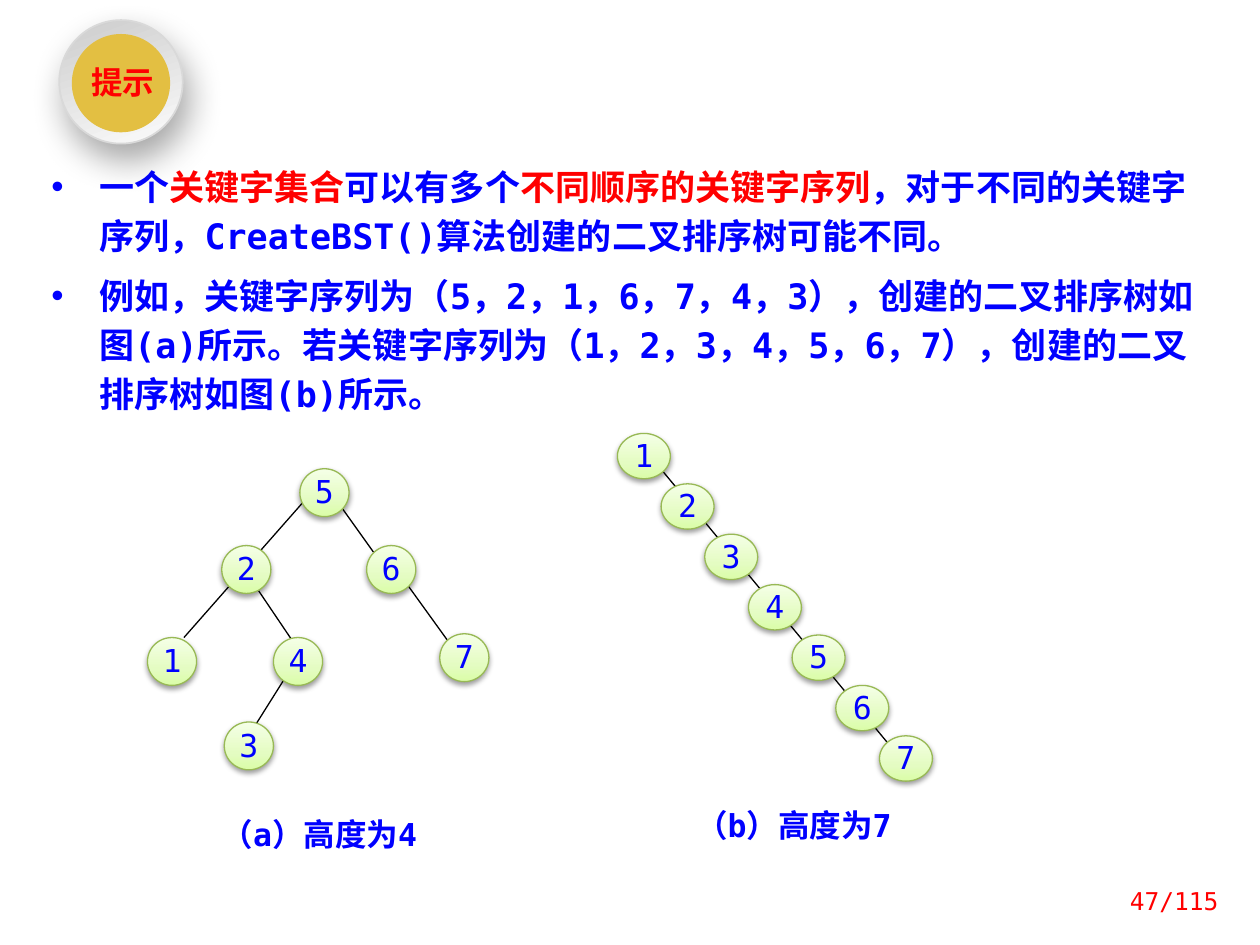
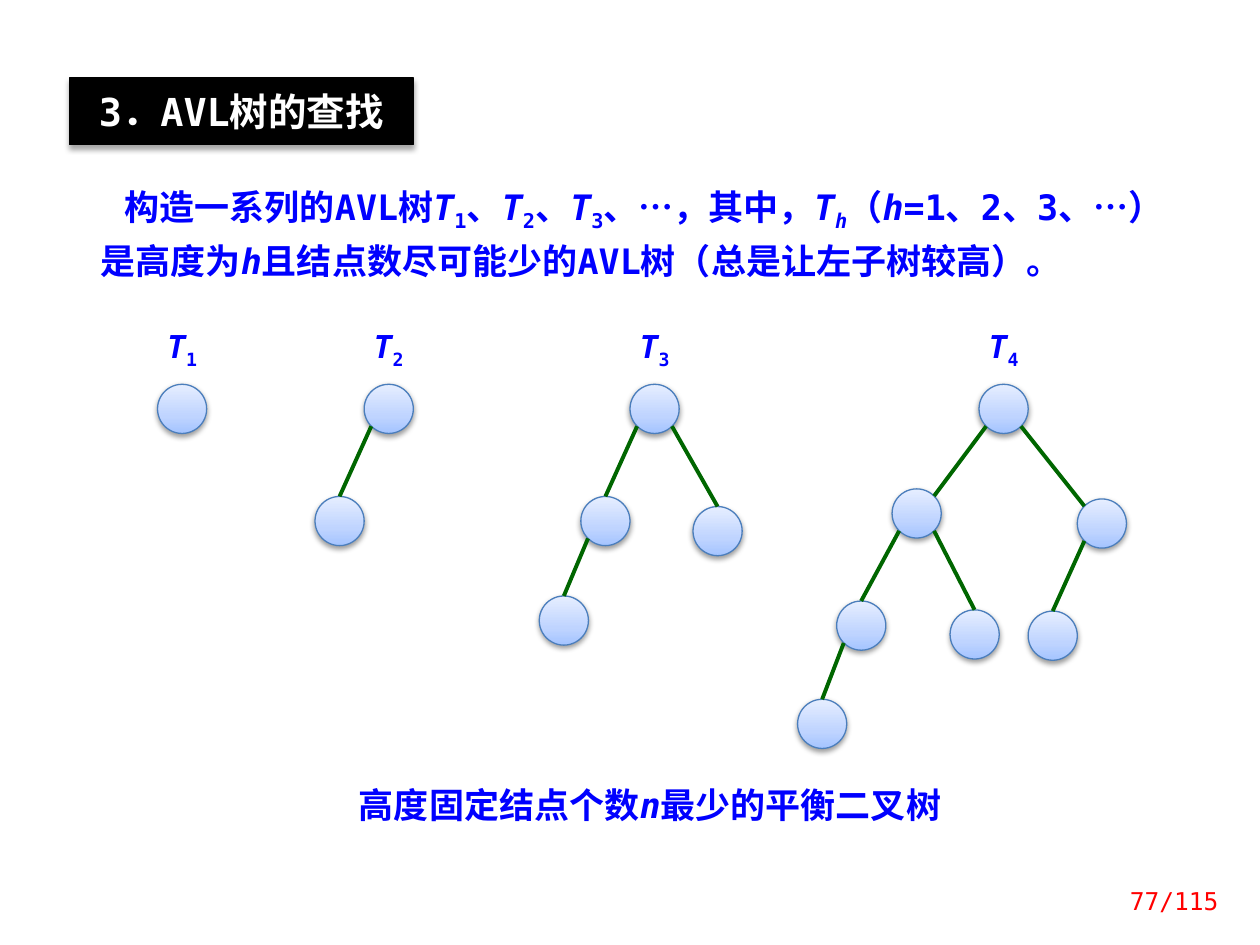
from pptx import Presentation
from pptx import util as u
from pptx.dml.color import RGBColor
from pptx.enum import shapes as s, text as t
from pptx.oxml import ns
from lxml import etree

# Shared look
MONO, CJK = "DejaVu Sans Mono", "Noto Sans CJK SC"
BLUE, RED, BLACK, WHITE = "0000FF", "FF0000", "000000", "FFFFFF"
GREEN_NODE = ([(0, "DAFDA7"), (35, "E4FCC2"), (100, "F5FFE7")], 270, "98B955")
BLUE_NODE = ([(0, "A4C4FF"), (35, "BFD4FF"), (100, "E6EEFF")], 270, "4B7EBC")
RIM = ([(0, "CCCCCC"), (100, "FCFCFC")], 70, "D9D9D9")
NODE_SHADOW = (38, 3.1, 1.6, 90)
CIRCLE = 0.39
TOTAL_PAGES = 115

# Run styles used inside paragraphs
STYLES = {
    "red": {"color": RED},
    "italic": {"italic": True},
    "sub": {"sub": True},
    "italic sub": {"italic": True, "sub": True},
    "arial": {"name": "Arial"},
}


def color(value):
    return RGBColor.from_string(value)


def add_child(parent, tag, **attributes):
    child = etree.SubElement(parent, ns.qn(tag))
    for name, value in attributes.items():
        child.set(name, str(value))
    return child


def add_shadow(shape, alpha, blur, distance, angle):
    shape.shadow.inherit = False
    effects = shape._element.spPr.find(ns.qn("a:effectLst"))
    shadow = add_child(effects, "a:outerShdw", blurRad=u.Pt(blur), dist=u.Pt(distance),
                       dir=angle * 60000, algn="ctr", rotWithShape=0)
    tint = add_child(shadow, "a:srgbClr", val=BLACK)
    add_child(tint, "a:alpha", val=alpha * 1000)


def fill_gradient(shape, stops, angle):
    shape.fill.gradient()
    shape.fill.gradient_angle = 360 - angle
    stop_list = shape._element.spPr.find(".//" + ns.qn("a:gsLst"))
    for stop in list(stop_list):
        stop_list.remove(stop)
    for position, value in stops:
        stop = add_child(stop_list, "a:gs", pos=position * 1000)
        add_child(stop, "a:srgbClr", val=value)


def add_runs(paragraph, runs):
    """Each run is plain text or a (text, style name) pair."""
    for item in [runs] if isinstance(runs, str) else runs:
        content, style = (item, None) if isinstance(item, str) else item
        run = paragraph.add_run()
        run.text = content
        look = STYLES.get(style, {})
        if "color" in look:
            run.font.color.rgb = color(look["color"])
        if "italic" in look:
            run.font.italic = True
        if "name" in look:
            run.font.name = look["name"]
        if "sub" in look:
            run.font._element.set("baseline", "-25000")


def set_text(shape, paragraphs, size, font_color=BLUE, bold=True, align="LEFT", anchor="TOP",
             spacing=None, before=0, indent=0, bullet=False, font=MONO,
             insets=(0.1, 0.05), wrap=True):
    frame = shape.text_frame
    frame.word_wrap = wrap
    frame.auto_size = t.MSO_AUTO_SIZE.NONE
    frame.vertical_anchor = t.MSO_ANCHOR[anchor]
    frame.margin_left = frame.margin_right = u.Inches(insets[0])
    frame.margin_top = frame.margin_bottom = u.Inches(insets[1])
    for index, runs in enumerate(paragraphs):
        paragraph = frame.add_paragraph() if index else frame.paragraphs[0]
        properties = paragraph._p.get_or_add_pPr()
        properties.set("indent", str(u.Inches(indent)))
        if bullet:
            properties.set("marL", str(u.Inches(-indent)))
            add_child(properties, "a:buFont", typeface="Arial")
            add_child(properties, "a:buChar", char="•")
        paragraph.alignment = t.PP_ALIGN[align]
        if spacing:
            paragraph.line_spacing = spacing
        if index:
            paragraph.space_before = u.Pt(before)
        paragraph.font.size = u.Pt(size)
        paragraph.font.name = font
        paragraph.font.bold = bold
        paragraph.font.color.rgb = color(font_color)
        add_runs(paragraph, runs)


def add_text(shapes, box, paragraphs, size, **options):
    shape = shapes.add_textbox(*map(u.Inches, box))
    set_text(shape, paragraphs, size, **options)


def add_ellipse(shapes, box, look, shadow, line_width=0.75):
    stops, angle, outline = look
    shape = shapes.add_shape(s.MSO_SHAPE.OVAL, *map(u.Inches, box))
    fill_gradient(shape, stops, angle)
    shape.line.color.rgb = color(outline)
    shape.line.width = u.Pt(line_width)
    add_shadow(shape, *shadow)
    return shape


def add_key_node(shapes, box, key):
    node = add_ellipse(shapes, box, GREEN_NODE, NODE_SHADOW)
    set_text(node, [str(key)], 18, bold=False, align="CENTER", anchor="MIDDLE",
             spacing=u.Pt(20), insets=(0, 0))


def add_line(shapes, start, end, line_color=BLACK, width=0.75):
    line = shapes.add_connector(s.MSO_CONNECTOR.STRAIGHT, *map(u.Inches, (*start, *end)))
    line.line.color.rgb = color(line_color)
    line.line.width = u.Pt(width)
    add_child(line._element.spPr, "a:effectLst")


def add_page_number(slide, page):
    add_text(slide.shapes, (8.63, 6.95, 1.14, 0.4), [f"{page}/{TOTAL_PAGES}"], 14,
             font_color=RED, bold=False, align="RIGHT", anchor="MIDDLE")


def add_tip_badge(slide):
    shapes = slide.shapes.add_group_shape().shapes
    add_ellipse(shapes, (0.47, 0.16, 0.98, 0.98), RIM, (34, 20, 10, 70), line_width=1)
    disc = shapes.add_shape(s.MSO_SHAPE.OVAL, *map(u.Inches, (0.57, 0.27, 0.78, 0.78)))
    disc.fill.solid()
    disc.fill.fore_color.rgb = color("E3BF42")
    disc.line.fill.background()
    disc.shadow.inherit = False
    add_text(shapes, (0.62, 0.51, 0.71, 0.34), ["提示"], 18, font_color=RED, font=CJK,
             align="CENTER", spacing=0.8, wrap=False)


def add_caption(shapes, box, caption):
    add_text(shapes, box, [caption], 18, align="CENTER", spacing=u.Pt(20), insets=(0, 0))


def add_chain_tree(slide):
    shapes = slide.shapes.add_group_shape().shapes
    add_line(shapes, (5.26, 3.74), (7.04, 5.89))
    for step in range(7):
        add_key_node(shapes, (4.9 + 2.08 * step / 6, 3.44 + 0.4 * step, 0.42, 0.36), step + 1)
    add_caption(shapes, (5.3, 6.42, 2, 0.37), "（b）高度为7")


def add_bushy_tree(slide):
    shapes = slide.shapes.add_group_shape().shapes
    edges = [((2.42, 3.97), (1.46, 5.06)), ((2.04, 4.67), (2.31, 5.07)),
             ((2.25, 5.4), (2.03, 5.75)), ((2.72, 4.04), (2.97, 4.39)),
             ((3.24, 4.65), (3.55, 5.08))]
    for start, end in edges:
        add_line(shapes, start, end)
    nodes = {5: (2.38, 3.72), 2: (1.76, 4.33), 6: (2.91, 4.33), 1: (1.17, 5.06),
             4: (2.17, 5.06), 3: (1.78, 5.73), 7: (3.49, 5.03)}
    for key, corner in nodes.items():
        add_key_node(shapes, (*corner, CIRCLE, 0.38), key)
    add_caption(shapes, (1.61, 6.49, 1.85, 0.39), "（a）高度为4")


def circle_point(corner, across, down):
    """Point on a node's outline: across and down are -1, 0 or 1 from its centre."""
    radius = CIRCLE / 2 * (0.71 if across and down else 1)
    return (corner[0] + CIRCLE / 2 + across * radius, corner[1] + CIRCLE / 2 + down * radius)


def add_avl_tree(slide, height, nodes, edges, root_edges=()):
    """Edges end on top of the child; root_edges end on its side facing the root."""
    left, top = nodes[0]
    add_text(slide.shapes, (left - 0.08, top - 0.47, 0.55, 0.34),
             [[("T", "italic"), (str(height), "sub")]], 18, align="CENTER", spacing=0.8)
    shapes = slide.shapes.add_group_shape().shapes if edges else slide.shapes
    for corner in nodes:
        add_ellipse(shapes, (*corner, CIRCLE, CIRCLE), BLUE_NODE, NODE_SHADOW)
    for parent, child in [*edges, *root_edges]:
        side = 1 if nodes[child][0] > nodes[parent][0] else -1
        landing = -side if (parent, child) in root_edges else 0
        add_line(shapes, circle_point(nodes[parent], side, 1),
                 circle_point(nodes[child], landing, -1), "006600", 2.25)


def add_heading(slide, heading):
    title = slide.shapes.title
    title.left, title.top, title.width, title.height = map(u.Inches, (0.55, 0.62, 2.73, 0.53))
    title.fill.solid()
    title.fill.fore_color.rgb = color(BLACK)
    title.line.color.rgb = color(BLACK)
    title.line.width = u.Pt(0.75)
    add_shadow(title, 35, 3.1, 1.8, 90)
    set_text(title, [heading], 22, font_color=WHITE, align="CENTER", anchor="MIDDLE",
             insets=(0.1, 0.08), wrap=False)


def build_key_order_slide(presentation):
    slide = presentation.slides.add_slide(presentation.slide_layouts[6])
    add_text(slide.shapes, (0.31, 1.21, 9.45, 2.15), [
        ["一个", ("关键字集合", "red"), "可以有多个", ("不同顺序的关键字序列", "red"),
         "，对于不同的关键字序列，CreateBST()算法创建的二叉排序树可能不同。"],
        "例如，关键字序列为（5，2，1，6，7，4，3），创建的二叉排序树如图(a)所示。"
        "若关键字序列为（1，2，3，4，5，6，7），创建的二叉排序树如图(b)所示。",
    ], 20, spacing=u.Pt(28), before=6, indent=-0.38, bullet=True)
    add_chain_tree(slide)
    add_bushy_tree(slide)
    add_tip_badge(slide)
    add_page_number(slide, 47)


def build_avl_slide(presentation):
    slide = presentation.slides.add_slide(presentation.slide_layouts[5])
    add_heading(slide, "3．AVL树的查找")
    add_text(slide.shapes, (0.7, 1.41, 8.67, 0.89), [[
        "构造一系列的AVL树", ("T", "italic"), ("1", "sub"), "、", ("T", "italic"), ("2", "sub"),
        "、", ("T", "italic"), ("3", "sub"), "、", ("…", "arial"), "，其中，",
        ("T", "italic"), ("h", "italic sub"), "（", ("h", "italic"), "=1、2、3、",
        ("…", "arial"), "）是高度为", ("h", "italic"),
        "且结点数尽可能少的AVL树（总是让左子树较高）。",
    ]], 20, spacing=u.Pt(28), indent=0.19)
    add_text(slide.shapes, (2.58, 6.17, 5.16, 0.44),
             [["高度固定结点个数", ("n", "italic"), "最少的平衡二叉树"]], 20, align="CENTER")

    # Smallest AVL trees of height 1 to 4, root first
    add_avl_tree(slide, 1, [(1.25, 3.05)], [])
    add_avl_tree(slide, 2, [(2.89, 3.05), (2.5, 3.94)], [(0, 1)])
    add_avl_tree(slide, 3, [(5, 3.05), (4.61, 3.94), (5.5, 4.02), (4.28, 4.73)],
                 [(0, 1), (0, 2), (1, 3)])
    add_avl_tree(slide, 4, [(7.77, 3.05), (7.08, 3.88), (8.55, 3.96), (6.64, 4.77),
                            (7.54, 4.84), (8.16, 4.85), (6.33, 5.55)],
                 [(1, 3), (1, 4), (2, 5), (3, 6)], root_edges=[(0, 1), (0, 2)])
    add_page_number(slide, 77)


def main():
    presentation = Presentation()
    presentation.slide_width, presentation.slide_height = u.Inches(10), u.Inches(7.5)
    build_key_order_slide(presentation)
    build_avl_slide(presentation)
    presentation.save("out.pptx")


if __name__ == "__main__":
    main()
